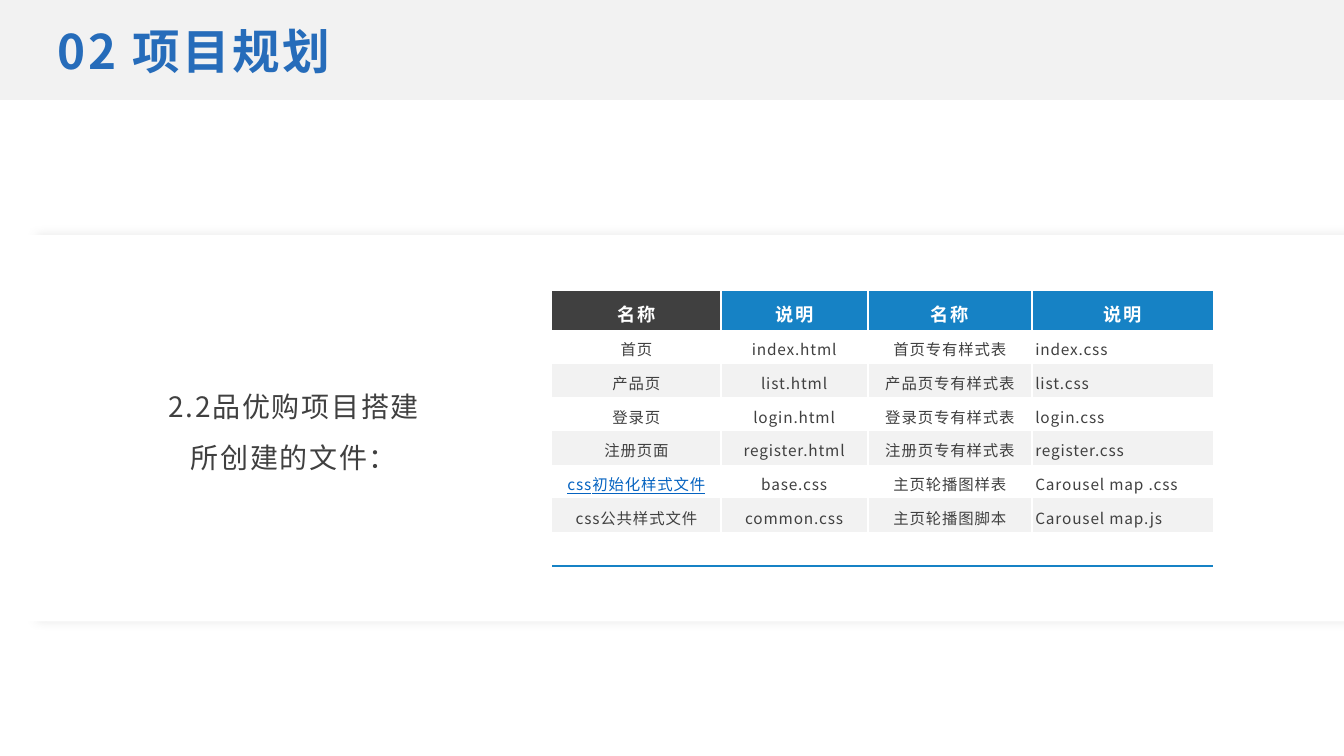
from pptx import Presentation
from pptx.dml.color import RGBColor
from pptx.enum.shapes import MSO_SHAPE
from pptx.enum.text import MSO_ANCHOR, PP_ALIGN
from pptx.oxml import parse_xml
from pptx.oxml.ns import nsdecls, qn
from pptx.util import Cm, Pt
from lxml.etree import SubElement

FONT = "Noto Sans CJK SC"
WHITE = RGBColor(0xFF, 0xFF, 0xFF)
LIGHT = RGBColor(0xF2, 0xF2, 0xF2)
DARK = RGBColor(0x40, 0x40, 0x40)
BLUE = RGBColor(0x16, 0x82, 0xC5)
TITLE_BLUE = RGBColor(0x26, 0x6C, 0xBA)
LINK_BLUE = RGBColor(0x05, 0x63, 0xC1)


def format_text(p, size, color, spacing, bold=False):
    for r in p.runs:
        r.font.name = FONT
        r.font.size = Pt(size)
        r.font.bold = bold
        r.font.color.rgb = color
        rPr = r._r.get_or_add_rPr()
        rPr.set("spc", str(round(spacing * 100)))
        SubElement(rPr, qn("a:ea")).set("typeface", FONT)


def add_border(cell, position, side, color):
    cell._tc.get_or_add_tcPr().insert(position, parse_xml(
        f'<a:{side} {nsdecls("a")} w="19050"><a:solidFill>'
        f'<a:srgbClr val="{color}"/></a:solidFill></a:{side}>'))


prs = Presentation()
prs.slide_width, prs.slide_height = Cm(33.87), Cm(19.05)
s = prs.slides.add_slide(prs.slide_layouts[5])

for top, height, color in [(0, 2.52, LIGHT), (5.92, 9.74, WHITE)]:
    panel = s.shapes.add_shape(MSO_SHAPE.RECTANGLE, 0, Cm(top), prs.slide_width, Cm(height))
    panel.shadow.inherit = False
    panel.fill.solid()
    panel.fill.fore_color.rgb = color
    panel.line.fill.background()

panel._element.spPr.find(qn("a:effectLst")).append(parse_xml(
    f'<a:outerShdw {nsdecls("a")} blurRad="{Pt(7)}" dist="{Pt(27)}" dir="0" rotWithShape="0">'
    '<a:srgbClr val="BEBEBE"><a:alpha val="37000"/></a:srgbClr></a:outerShdw>'))

title = s.shapes.title
s.shapes._spTree.append(title._element)
title.left, title.top, title.width, title.height = Cm(1.27), Cm(0.42), Cm(31.33), Cm(1.7)
title.text_frame.text = "02 项目规划"
title.text_frame.paragraphs[0].alignment = PP_ALIGN.LEFT
format_text(title.text_frame.paragraphs[0], 34, TITLE_BLUE, 1.8, True)

caption = s.shapes.add_textbox(Cm(2.96), Cm(8.47), Cm(8.89), Cm(4.66))
caption.text_frame.text = "2.2品优购项目搭建\n所创建的文件："
for p in caption.text_frame.paragraphs:
    p.alignment = PP_ALIGN.CENTER
    p.line_spacing = 1.2
    p.space_after = Pt(8)
    format_text(p, 20, DARK, 1.2)

for tf in (title.text_frame, caption.text_frame):
    tf.word_wrap = True
    tf.vertical_anchor = MSO_ANCHOR.MIDDLE
    tf.margin_left = tf.margin_right = Cm(0.18)
    tf.margin_top = tf.margin_bottom = Cm(0.08)

rows = [
    ("名称", "说明", "名称", "说明"),
    ("首页", "index.html", "首页专有样式表", "index.css"),
    ("产品页", "list.html", "产品页专有样式表", "list.css"),
    ("登录页", "login.html", "登录页专有样式表", "login.css"),
    ("注册页面", "register.html", "注册页专有样式表", "register.css"),
    ("css初始化样式文件", "base.css", "主页轮播图样表", "Carousel map .css"),
    ("css公共样式文件", "common.css", "主页轮播图脚本", "Carousel map.js"),
    ("", "", "", ""),
]
widths = [4.24, 3.71, 4.14, 4.55]
last_row, last_col = len(rows) - 1, len(widths) - 1
frame = s.shapes.add_table(len(rows), len(widths), Cm(13.92), Cm(7.34), Cm(16.64), Cm(6.9))
table = frame.table
table.first_row = table.horz_banding = False
table._tbl.tblPr.find(qn("a:tableStyleId")).text = "{2D5ABB26-0587-4C30-8999-92F81FD0307C}"
for column, width in zip(table.columns, widths):
    column.width = Cm(width)

for i, texts in enumerate(rows):
    table.rows[i].height = Cm(0.85 if i else 0.97)
    for j, text in enumerate(texts):
        cell = table.cell(i, j)
        cell.vertical_anchor = MSO_ANCHOR.MIDDLE
        cell.margin_left = cell.margin_right = cell.margin_top = cell.margin_bottom = Cm(0.08)
        cell.fill.solid()
        p = cell.text_frame.paragraphs[0]
        p.line_spacing = 1.2
        p.alignment = PP_ALIGN.LEFT if i and j == last_col else PP_ALIGN.CENTER
        if i == 0:
            cell.fill.fore_color.rgb = BLUE if j else DARK
        else:
            cell.fill.fore_color.rgb = WHITE if i % 2 or i == last_row else LIGHT
        if text:
            p.text = text
            if i == 0:
                format_text(p, 13, WHITE, 1.2, True)
            else:
                format_text(p, 11, DARK, 0.6)
        else:
            SubElement(p._p, qn("a:endParaRPr")).set("sz", "1100")
        if i == last_row:
            add_border(cell, 0, "lnB", BLUE)
        if j < last_col:
            add_border(cell, 0, "lnR", WHITE)
        if j > 0:
            add_border(cell, 0, "lnL", WHITE)

link = table.cell(5, 0).text_frame.paragraphs[0].runs[0]
link.font.color.rgb = LINK_BLUE
link.font.underline = True

prs.save("out.pptx")
